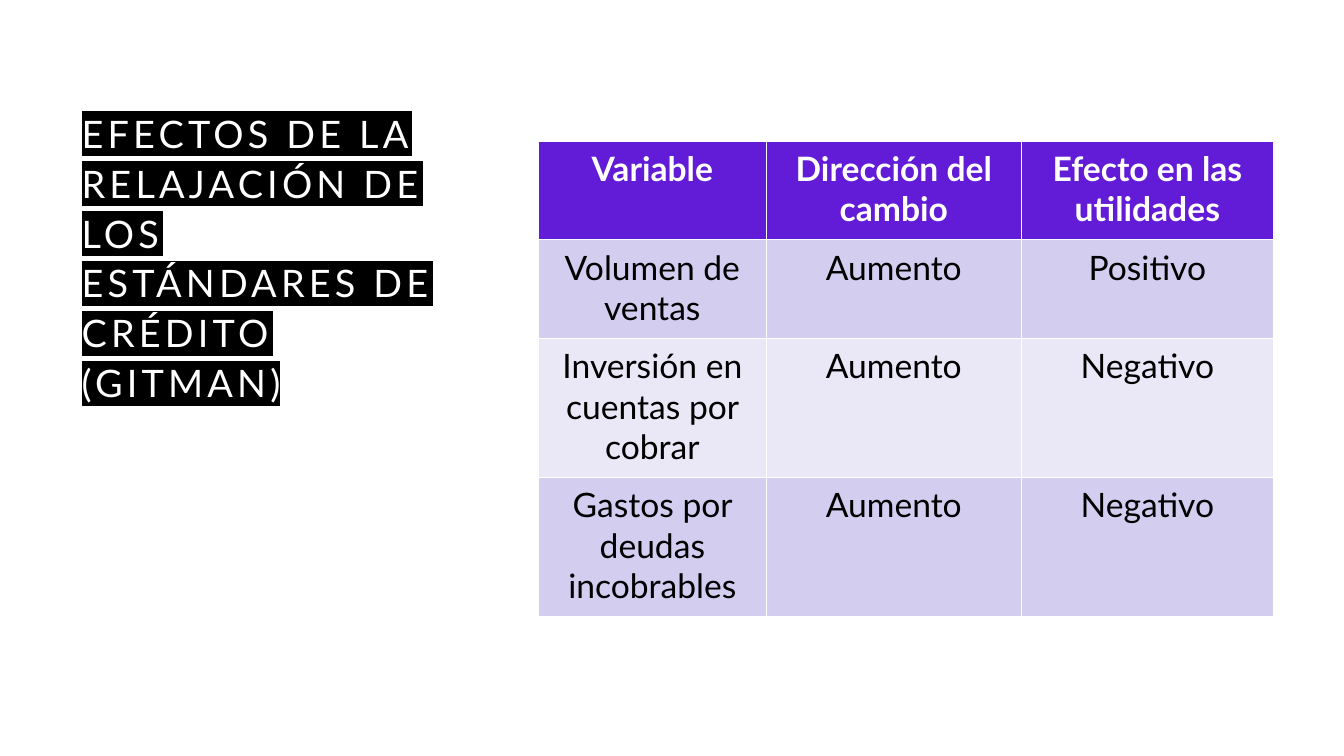
import pptx
import pptx.dml.color
import pptx.enum.text
import pptx.oxml
import pptx.oxml.ns
import pptx.util
from pptx.dml.color import RGBColor
from pptx.util import Inches

WHITE = RGBColor(0xFF, 0xFF, 0xFF)
BLACK = RGBColor(0x00, 0x00, 0x00)
PURPLE = RGBColor(0x62, 0x1B, 0xD6)
LILAC = RGBColor(0xD3, 0xCD, 0xF0)
PALE_LILAC = RGBColor(0xEA, 0xE8, 0xF7)
FONT = "Lato"

COLUMN_WIDTHS = [2.26, 2.53, 2.5]
ROW_HEIGHTS = [0.98, 0.98, 1.38, 1.38]
EFFECTS = [
    ["Variable", "Dirección del cambio", "Efecto en las utilidades"],
    ["Volumen de ventas", "Aumento", "Positivo"],
    ["Inversión en cuentas por cobrar", "Aumento", "Negativo"],
    ["Gastos por deudas incobrables", "Aumento", "Negativo"],
]

deck = pptx.Presentation()
deck.slide_width = Inches(13.33)
deck.slide_height = Inches(7.5)
page = deck.slides.add_slide(deck.slide_layouts[5])

# Title: spaced white letters on a black highlight
title = page.shapes.title
title.left, title.top = Inches(0.71), Inches(1)
title.width, title.height = Inches(3.75), Inches(3.83)
frame = title.text_frame
frame.word_wrap = True
frame.auto_size = pptx.enum.text.MSO_AUTO_SIZE.NONE
frame.vertical_anchor = pptx.enum.text.MSO_ANCHOR.TOP
para = frame.paragraphs[0]
para.alignment = pptx.enum.text.PP_ALIGN.LEFT
para.line_spacing = 1.1
span = para.add_run()
span.text = "EFECTOS DE LA RELAJACIÓN DE LOS ESTÁNDARES DE CRÉDITO (GITMAN)"
span.font.name = FONT
span.font.size = pptx.util.Pt(27)
span.font.color.rgb = WHITE
properties = span.font._element
properties.set("spc", "300")
highlight = pptx.oxml.parse_xml(
    f'<a:highlight {pptx.oxml.ns.nsdecls("a")}><a:srgbClr val="{BLACK}"/></a:highlight>'
)
properties.find(pptx.oxml.ns.qn("a:solidFill")).addnext(highlight)

# Table: the default style supplies the white cell borders
table = page.shapes.add_table(
    len(ROW_HEIGHTS), len(COLUMN_WIDTHS),
    Inches(5.34), Inches(1.4), Inches(sum(COLUMN_WIDTHS)), Inches(sum(ROW_HEIGHTS)),
).table
for column, width in zip(table.columns, COLUMN_WIDTHS):
    column.width = Inches(width)

for row_index, (row, height) in enumerate(zip(table.rows, ROW_HEIGHTS)):
    row.height = Inches(height)
    is_header = row_index == 0
    if is_header:
        row_fill = PURPLE
    else:
        row_fill = LILAC if row_index % 2 else PALE_LILAC
    for cell, text in zip(row.cells, EFFECTS[row_index]):
        cell.fill.solid()
        cell.fill.fore_color.rgb = row_fill
        cell.margin_left = cell.margin_right = Inches(0.13)
        cell.margin_top = cell.margin_bottom = Inches(0.07)
        cell.text = text
        para = cell.text_frame.paragraphs[0]
        para.alignment = pptx.enum.text.PP_ALIGN.CENTER
        para.font.name = FONT
        para.font.size = pptx.util.Pt(24)
        para.font.bold = is_header
        para.font.color.rgb = WHITE if is_header else BLACK

deck.save("out.pptx")
